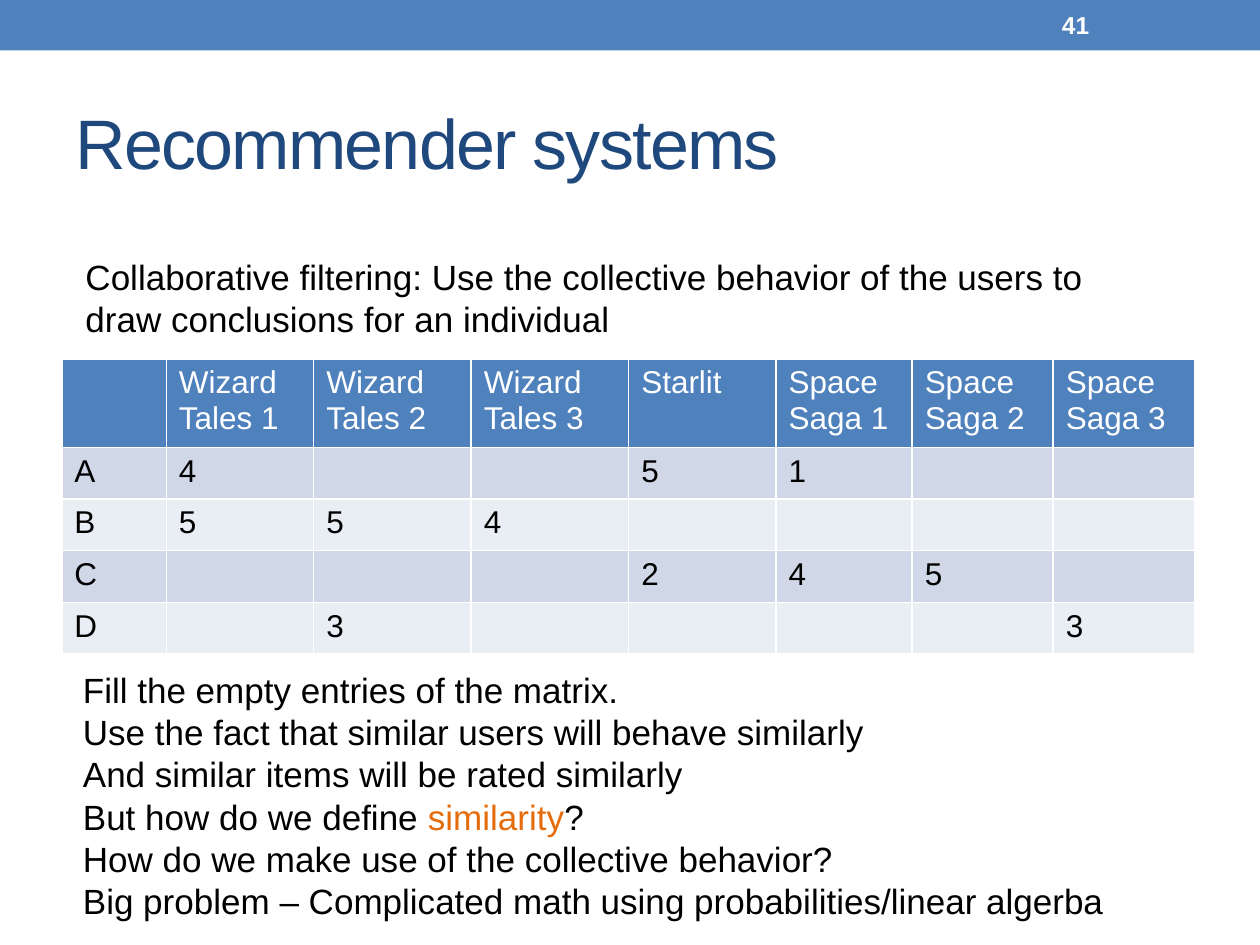
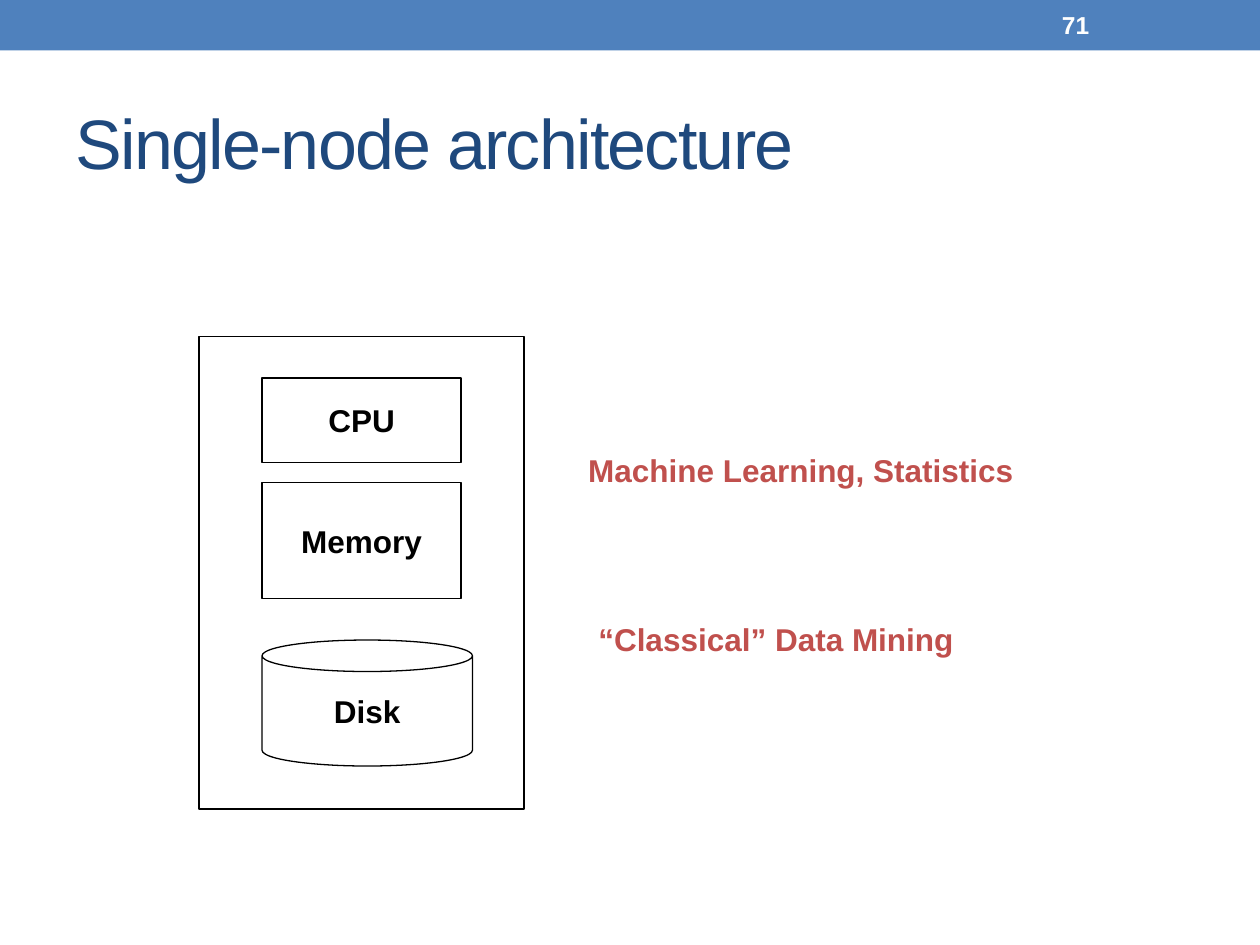
import pptx
import pptx.util
import pptx.dml.color
import pptx.enum.shapes
import pptx.enum.text
import pptx.oxml.ns
import lxml.etree

RGBColor = pptx.dml.color.RGBColor
BLUE = RGBColor(0x4F, 0x81, 0xBD)
NAVY = RGBColor(0x1F, 0x49, 0x7D)
RED = RGBColor(0xC0, 0x50, 0x4D)
ORANGE = RGBColor(0xE4, 0x6C, 0x0A)
ROW_DARK = RGBColor(0xD0, 0xD8, 0xE8)
ROW_LIGHT = RGBColor(0xE9, 0xED, 0xF4)
WHITE = RGBColor(0xFF, 0xFF, 0xFF)
BLACK = RGBColor(0, 0, 0)

SHAPE = pptx.enum.shapes.MSO_SHAPE
MIDDLE = pptx.enum.text.MSO_ANCHOR.MIDDLE
CENTER = pptx.enum.text.PP_ALIGN.CENTER
PX_PER_INCH = 100


def px(length):
    return pptx.util.Emu(length * 914400 // PX_PER_INCH)


class SlideBuilder:
    font_name = "Arial"

    def __init__(self):
        self.deck = pptx.Presentation()
        self.deck.slide_width = px(1000)
        self.deck.slide_height = px(750)
        self.page = None

    def start_slide(self, title, number):
        self.page = self.deck.slides.add_slide(self.deck.slide_layouts[6])
        self.shape(SHAPE.RECTANGLE, (0, 0, 1000, 40), fill=BLUE)
        heading = self.text((50, 58, 900, 108), [title], 40, NAVY, anchor=MIDDLE)
        for span in heading.text_frame.paragraphs[0].runs:
            span.font._element.set("spc", "-100")
        self.text((833, 2, 117, 36), [number], 14, WHITE, bold=True, anchor=MIDDLE)

    def style(self, span, size, color, bold=False):
        span.font.name = self.font_name
        span.font.size = pptx.util.Pt(size)
        span.font.bold = bold
        span.font.color.rgb = color

    def text(self, area, lines, size, color, bold=False, wrap=True, anchor=None, accent=None):
        box = self.page.shapes.add_textbox(*map(px, area))
        frame = box.text_frame
        frame.word_wrap = wrap
        frame.vertical_anchor = anchor
        for index, line in enumerate(lines):
            para = frame.add_paragraph() if index else frame.paragraphs[0]
            pieces = line.partition(accent) if accent else (line,)
            for piece in filter(None, pieces):
                span = para.add_run()
                span.text = piece
                self.style(span, size, ORANGE if piece == accent else color, bold)
        return box

    def shape(self, kind, area, label=None, fill=None):
        box = self.page.shapes.add_shape(kind, *map(px, area))
        box.shadow.inherit = False
        if fill is None:
            box.fill.background()
            box.line.color.rgb = BLACK
            box.line.width = pptx.util.Pt(0.75)
        else:
            box.fill.solid()
            box.fill.fore_color.rgb = fill
            box.line.fill.background()
        if label:
            frame = box.text_frame
            frame.text = label
            frame.word_wrap = False
            frame.vertical_anchor = MIDDLE
            frame.paragraphs[0].alignment = CENTER
            self.style(frame.paragraphs[0].runs[0], 18, BLACK, bold=True)
        return box

    def border(self, cell, side):
        qn = pptx.oxml.ns.qn
        properties = cell._tc.get_or_add_tcPr()
        line = lxml.etree.SubElement(properties, qn(f"a:ln{side}"), w=str(pptx.util.Pt(1)))
        solid = lxml.etree.SubElement(line, qn("a:solidFill"))
        lxml.etree.SubElement(solid, qn("a:srgbClr"), val=str(WHITE))

    def table(self, left, top, widths, heights, rows):
        area = (left, top, sum(widths), sum(heights))
        table = self.page.shapes.add_table(len(rows), len(widths), *map(px, area)).table
        table.horz_banding = False
        for column, width in zip(table.columns, widths):
            column.width = px(width)
        for r, (values, height) in enumerate(zip(rows, heights)):
            table.rows[r].height = px(height)
            fill = BLUE if r == 0 else (ROW_DARK if r % 2 else ROW_LIGHT)
            for c, value in enumerate(values):
                cell = table.cell(r, c)
                for side in "LRTB":
                    self.border(cell, side)
                cell.fill.solid()
                cell.fill.fore_color.rgb = fill
                if value:
                    cell.text_frame.text = value
                    span = cell.text_frame.paragraphs[0].runs[0]
                    self.style(span, 18, BLACK if r else WHITE)


def recommender_slide(builder):
    builder.start_slide("Recommender systems", "41")
    ratings = [
        ["", "Wizard Tales 1", "Wizard Tales 2", "Wizard Tales 3", "Starlit",
         "Space Saga 1", "Space Saga 2", "Space Saga 3"],
        ["A", "4", "", "", "5", "1", "", ""],
        ["B", "5", "5", "4", "", "", "", ""],
        ["C", "", "", "", "2", "4", "5", ""],
        ["D", "", "3", "", "", "", "", "3"],
    ]
    builder.table(49, 285, [83, 117, 125, 125, 117, 108, 112, 112], [65] + [41] * 4, ratings)
    builder.text((56, 526, 837, 212), [
        "Fill the empty entries of the matrix.",
        "Use the fact that similar users will behave similarly",
        "And similar items will be rated similarly",
        "But how do we define similarity?",
        "How do we make use of the collective behavior?",
        "Big problem – Complicated math using probabilities/linear algerba",
    ], 20, BLACK, wrap=False, accent="similarity")
    builder.text((58, 198, 858, 77), [
        "Collaborative filtering: Use the collective behavior of the users to "
        "draw conclusions for an individual",
    ], 20, BLACK)


def architecture_slide(builder):
    builder.start_slide("Single-node architecture", "71")
    builder.shape(SHAPE.RECTANGLE, (208, 383, 158, 92), "Memory")
    disk = builder.shape(SHAPE.CAN, (208, 508, 167, 100), "Disk")
    disk.adjustments[0] = 0.25
    builder.shape(SHAPE.RECTANGLE, (208, 300, 158, 67), "CPU")
    builder.shape(SHAPE.RECTANGLE, (158, 267, 258, 375))
    for area, label in [
        ((457, 353, 415, 40), "Machine Learning, Statistics"),
        ((465, 487, 348, 40), "“Classical” Data Mining"),
    ]:
        builder.text(area, [label], 18, RED, bold=True, wrap=False)


def main():
    builder = SlideBuilder()
    recommender_slide(builder)
    architecture_slide(builder)
    builder.deck.save("out.pptx")


if __name__ == "__main__":
    main()
